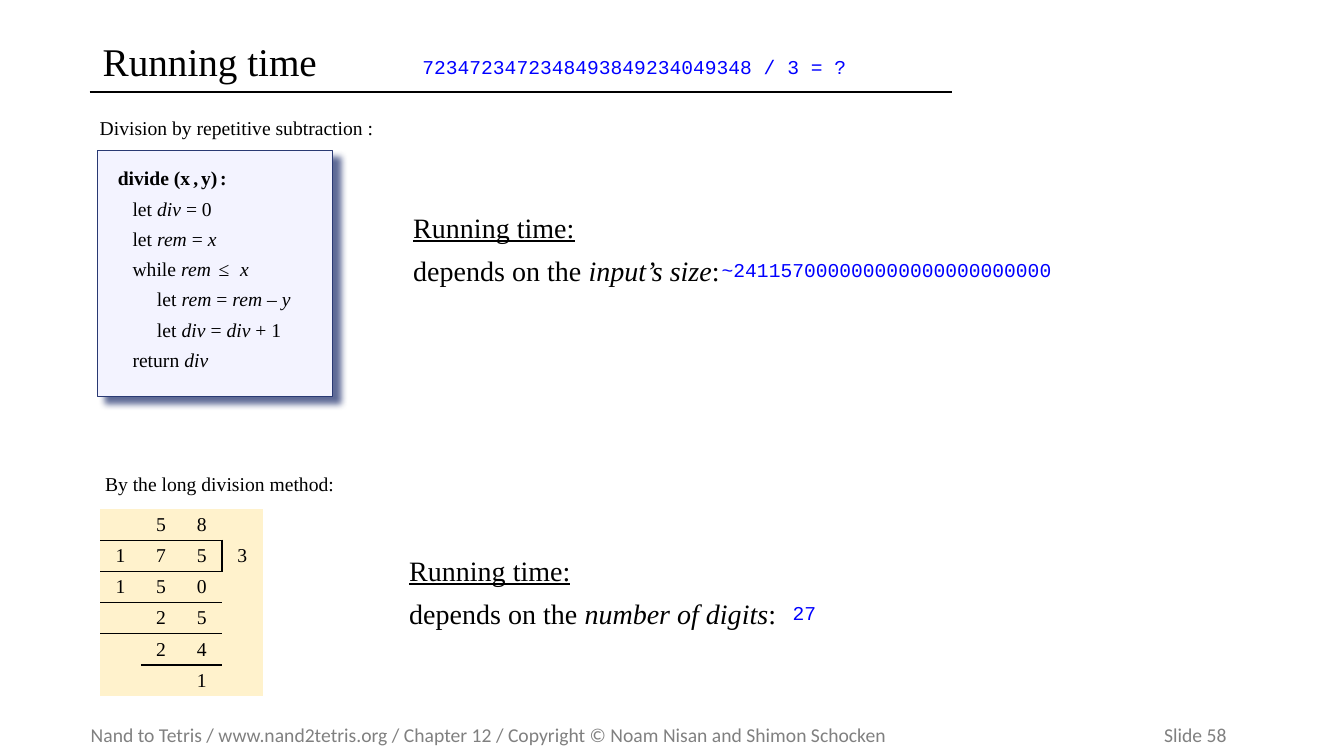
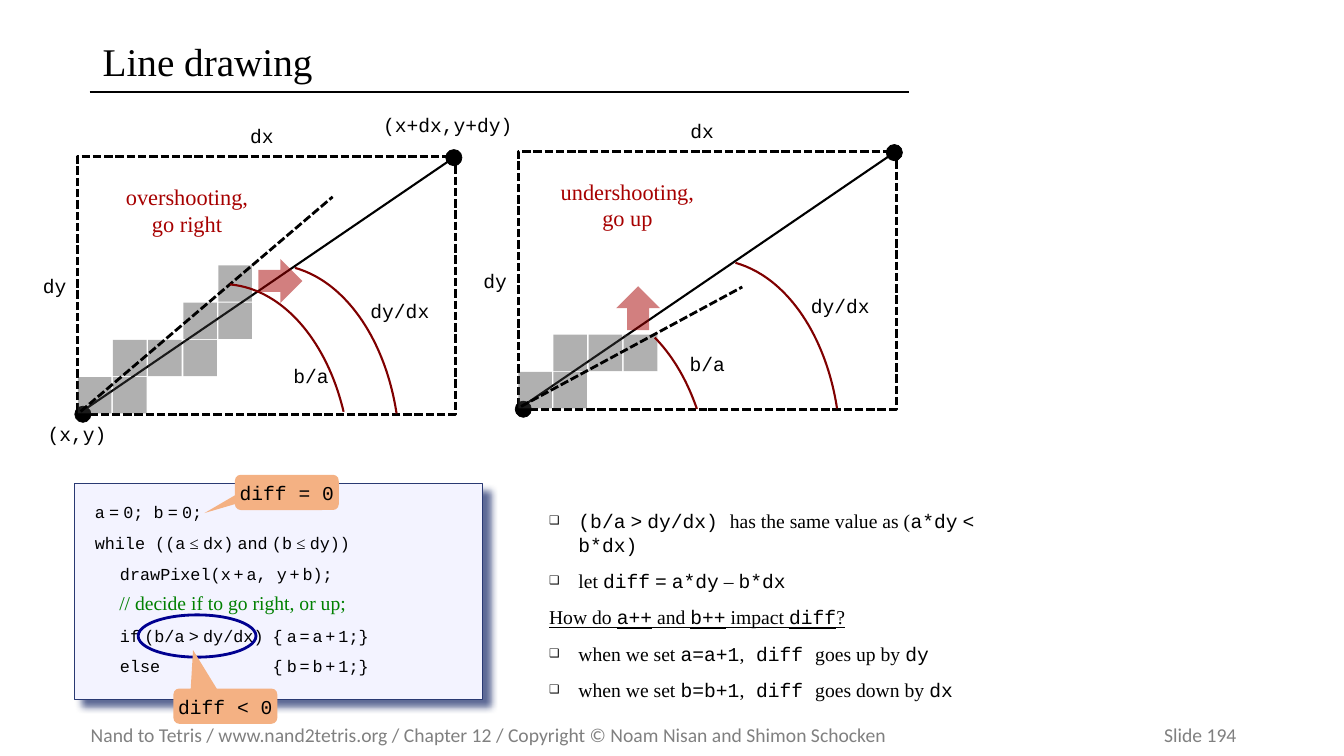
from lxml import etree
from pptx import Presentation
from pptx.dml.color import RGBColor
from pptx.enum.dml import MSO_LINE
from pptx.enum.shapes import MSO_CONNECTOR, MSO_SHAPE
from pptx.enum.text import MSO_ANCHOR, MSO_AUTO_SIZE, PP_ALIGN
from pptx.oxml.ns import qn
from pptx.util import Pt

LEFT, CENTER = PP_ALIGN.LEFT, PP_ALIGN.CENTER
TOP, MIDDLE = MSO_ANCHOR.TOP, MSO_ANCHOR.MIDDLE
RECT, OVAL, ARC = MSO_SHAPE.RECTANGLE, MSO_SHAPE.OVAL, MSO_SHAPE.ARC
CALLOUT = MSO_SHAPE.ROUNDED_RECTANGULAR_CALLOUT
RIGHT_ARROW, UP_ARROW = MSO_SHAPE.RIGHT_ARROW, MSO_SHAPE.UP_ARROW
DASH = MSO_LINE.SQUARE_DOT

BLACK = RGBColor(0x00, 0x00, 0x00)
GRAY = RGBColor(0x80, 0x80, 0x80)
BLUE = RGBColor(0x00, 0x00, 0xFF)
NAVY = RGBColor(0x00, 0x00, 0x90)
INDIGO = RGBColor(0x29, 0x39, 0x73)
LAVENDER = RGBColor(0xF3, 0xF3, 0xFF)
CREAM = RGBColor(0xFF, 0xF2, 0xCC)
PEACH = RGBColor(0xF4, 0xB1, 0x83)
PIXEL = RGBColor(0x40, 0x40, 0x40)
RED = RGBColor(0xA7, 0x00, 0x00)
MAROON = RGBColor(0x80, 0x00, 0x00)
GREEN = RGBColor(0x00, 0x80, 0x00)

SERIF, MONO, SANS = "Times New Roman", "Courier New", "Calibri"
FOOTER = ("Nand to Tetris / www.nand2tetris.org / Chapter 12 / "
          "Copyright © Noam Nisan and Shimon Schocken\tSlide ")
NO_GRID = "{2D5ABB26-0587-4C30-8999-92F81FD0307C}"


# ---- text ----
def add_run(p, text, size=14, color=BLACK, font=SERIF, bold=False,
            italic=False, underline=False):
    r = p.add_run()
    r.text = text.lstrip("^")
    f = r.font
    f.size, f.name, f.bold = Pt(size), font, bold
    f.italic, f.underline = italic, underline
    f.color.rgb = color
    if text.startswith("^"):  # ^ marks letter-spaced text
        r._r.get_or_add_rPr().set("spc", "200")


def add_par(tf, text, alt=None, before=0, align=LEFT, line=None, **fmt):
    """Add a paragraph; every second |-separated part takes the alt format."""
    first = not tf.text
    p = tf.paragraphs[0] if first else tf.add_paragraph()
    p.alignment = align
    p.space_before = Pt(0 if first else before)
    if line:
        p.line_spacing = line
    for i, part in enumerate(text.split("|")):
        if part:
            add_run(p, part, **{**fmt, **(alt or {} if i % 2 else {})})
    return p


def set_frame(tf, left=0, top=0, right=0, bottom=0, anchor=TOP, wrap=True):
    tf.margin_left, tf.margin_top = Pt(left), Pt(top)
    tf.margin_right, tf.margin_bottom = Pt(right), Pt(bottom)
    tf.vertical_anchor, tf.word_wrap = anchor, wrap
    tf.auto_size = MSO_AUTO_SIZE.NONE
    return tf


def add_box(s, x, y, w, h, **frame):
    return set_frame(s.shapes.add_textbox(Pt(x), Pt(y), Pt(w), Pt(h)).text_frame, **frame)


def add_label(s, text, x, y, **fmt):
    add_par(add_box(s, x, y, 60, 16, wrap=False), text, **fmt)


def add_tab(p, pos):
    tabs = etree.SubElement(p._p.get_or_add_pPr(), qn("a:tabLst"))
    etree.SubElement(tabs, qn("a:tab"), pos=str(Pt(pos)), algn="l")


# ---- shapes ----
def add_alpha(color_parent, percent):
    clr = next(color_parent.iter(qn("a:srgbClr")))
    etree.SubElement(clr, qn("a:alpha"), val=str(percent * 1000))


def add_shape(s, kind, x, y, w, h, fill=None, line=None, width=1, dash=None,
              alpha=None, adjust=()):
    sp = s.shapes.add_shape(kind, Pt(x), Pt(y), Pt(w), Pt(h))
    sp.shadow.inherit = False
    for i, value in enumerate(adjust):
        sp.adjustments[i] = value
    if fill is None:
        sp.fill.background()
    else:
        sp.fill.solid()
        sp.fill.fore_color.rgb = fill
        if alpha:
            add_alpha(sp._element.spPr, alpha)
    if line is None:
        sp.line.fill.background()
    else:
        sp.line.color.rgb, sp.line.width = line, Pt(width)
        if dash:
            sp.line.dash_style = dash
    return sp


def add_line(s, x1, y1, x2, y2, width=1.5, dash=None):
    c = s.shapes.add_connector(MSO_CONNECTOR.STRAIGHT, Pt(x1), Pt(y1), Pt(x2), Pt(y2))
    c.line.color.rgb, c.line.width = BLACK, Pt(width)
    if dash:
        c.line.dash_style = dash
    etree.SubElement(c._element.spPr, qn("a:effectLst"))


def add_arc(s, x, y, start, end):
    """Draw an arc between two angles in degrees."""
    add_shape(s, ARC, x, y, 183.6, 273.6, line=MAROON, width=1.5,
              adjust=(start * 0.6, end * 0.6))


def add_code_panel(s, x, y, w, h):
    sp = add_shape(s, RECT, x, y, w, h, LAVENDER, INDIGO, 0.75)
    effects = sp._element.spPr.find(qn("a:effectLst"))
    shadow = etree.SubElement(effects, qn("a:outerShdw"), blurRad=str(Pt(5)),
                              dist=str(Pt(7.1)), dir="2700000", algn="tl", rotWithShape="0")
    etree.SubElement(shadow, qn("a:srgbClr"), val=str(INDIGO))
    add_alpha(shadow, 75)
    return set_frame(sp.text_frame, left=14.4, top=11.5, bottom=11.5)


def add_callout(s, text, x, y, tip):
    sp = add_shape(s, CALLOUT, x, y, 74.2, 25.2, PEACH, adjust=(*tip, 0.167))
    add_par(set_frame(sp.text_frame, anchor=MIDDLE), text, align=CENTER, font=MONO)


# ---- shared slide parts ----
def new_slide(prs, layout, title, number, rule_end):
    s = prs.slides.add_slide(prs.slide_layouts[layout])
    sp = s.shapes.title
    sp.left, sp.top, sp.width, sp.height = Pt(66.2), Pt(23), Pt(614), Pt(45.4)
    tf = set_frame(sp.text_frame, 7.2, 3.6, 7.2, 3.6, MIDDLE)
    add_par(tf, title, size=28, line=0.9)
    add_line(s, 64, 66, rule_end, 66)
    footer = add_box(s, 64.8, 512.6, 882, 24.5, anchor=MIDDLE)
    add_tab(add_par(footer, FOOTER + str(number), font=SANS, color=GRAY), 766.7)
    return s


# ---- running time slide ----
def add_divide_panel(s, x, y):
    tf = add_code_panel(s, x, y, 167.8, 175.7)
    add_par(tf, "divide (x| |,| |y)| |:", alt={"size": 8}, bold=True)
    for text in ("   let |div| = 0", "   let |rem| = |x", "   while |rem|^ ≤ |x",
                 "        let |rem| = |rem| – |y", "        let |div| = |div| + 1",
                 "   return |div"):
        add_par(tf, text, alt={"italic": True}, before=4.8)


def add_long_division(s, x, y):
    rows = (" 58 ", "1753", "150 ", " 25 ", " 24 ", "  1 ")
    ruled = {(r, c) for r, cols in ((0, (0, 1, 2)), (2, (0, 1, 2)), (4, (1, 2)))
             for c in cols}
    frame = s.shapes.add_table(6, 4, Pt(x), Pt(y), Pt(116), Pt(133.8))
    table = frame.table
    table.first_row = table.horz_banding = False
    table._tbl.tblPr.find(qn("a:tableStyleId")).text = NO_GRID
    for col in table.columns:
        col.width = Pt(29)
    for r, row in enumerate(rows):
        table.rows[r].height = Pt(22.3)
        for c, digit in enumerate(row):
            cell = table.cell(r, c)
            cell.margin_top = cell.margin_bottom = 0
            cell.vertical_anchor = MIDDLE
            add_par(cell.text_frame, digit.strip(), align=CENTER)
            sides = {"L": (r, c) == (1, 3), "R": (r, c) == (1, 2),
                     "T": (r - 1, c) in ruled, "B": (r, c) in ruled}
            for side, drawn in sides.items():
                if drawn:
                    ln = etree.SubElement(cell._tc.get_or_add_tcPr(), qn("a:ln" + side),
                                          w=str(Pt(1)))
                    fill = etree.SubElement(ln, qn("a:solidFill"))
                    etree.SubElement(fill, qn("a:srgbClr"), val=str(BLACK))
            cell.fill.solid()
            cell.fill.fore_color.rgb = CREAM


def add_running_time(s, x, y, measure):
    tf = add_box(s, x, y, 280, 60)
    add_par(tf, "Running time:", size=20, underline=True)
    add_par(tf, f"depends on the |{measure}|:", alt={"italic": True}, size=20, before=7)


def build_running_time(prs):
    s = new_slide(prs, 5, "Running time", 58, 680)
    add_label(s, "7234723472348493849234049348 / 3 = ?", 301.7, 38.9, font=MONO, color=BLUE)
    # repetitive subtraction
    add_label(s, "Division by repetitive subtraction :", 71.2, 83)
    add_divide_panel(s, 69.8, 107.3)
    add_running_time(s, 295.2, 150, "input’s size")
    add_label(s, "~241157000000000000000000000", 515.5, 184, font=MONO, color=BLUE)
    # long division
    add_label(s, "By the long division method:", 75, 337)
    add_long_division(s, 71.6, 363.6)
    add_running_time(s, 292.3, 395, "number of digits")
    add_label(s, "27", 566.2, 429, font=MONO, color=BLUE)


# ---- line drawing slide ----
def add_diagram(s, x, y, pixels, guess, arc, slope_at, verdict, arrow, arrow_at):
    w, h = 270, 184.3
    add_shape(s, RECT, x, y, w, h, line=BLACK, width=2, dash=DASH)
    add_line(s, x, y + h, x + w, y)
    for cx, cy in ((3.6, h), (w - 1.4, 1)):
        add_shape(s, OVAL, x + cx - 5.8, y + cy - 5.8, 11.6, 11.6, BLACK, BLACK, 0.5)
    for col, row in pixels:
        add_shape(s, RECT, x + 25.1 * col, y + 157.7 - 26.6 * row, 24, 26, PIXEL, alpha=41)
    add_line(s, x + 2, y + h - 2, x + guess[0], y + guess[1], 2, DASH)
    # angles and labels
    add_arc(s, x + 46.4, y + 77.4, 277.2, 341.2)
    add_arc(s, x + arc[0], y + arc[1], arc[2], arc[3])
    for text, dx, dy in (("dx", 123, -23), ("dy", -25, 84), ("dy/dx", 209, 102),
                         ("b/a", *slope_at)):
        add_label(s, text, x + dx, y + dy, font=MONO)
    # verdict and its arrow
    tf = add_box(s, x + 27, y + 19, 102, 50)
    for text in verdict:
        add_par(tf, text, size=16, color=RED, align=CENTER)
    add_shape(s, arrow, x + arrow_at[0], y + arrow_at[1], 31.4, 31.4, RED, alpha=50)


def add_line_code(s, x, y):
    tf = add_code_panel(s, x, y, 291.6, 154)
    mono = {"font": MONO, "size": 12}
    lines = (("a| |=| |0; b| |=| |0;", mono),
             ("while ((a| ≤ |dx)| |and| |(b| ≤ |dy))", mono),
             ("|      |drawPixel(||^x+||a, ||^y+||b);", mono),
             ("     // decide if to go right, or up;", {"color": GREEN}),
             ("|      |if| |(b/a| |>| |dy/dx)|\t|{| |^a=a+||1;}", mono),
             ("|      |else|\t|{| |^b=b+||1;}", mono))
    for text, fmt in lines:
        p = add_par(tf, text, alt={"font": SERIF}, before=6, line=Pt(16), **fmt)
        if "\t" in text:
            add_tab(p, 127)
    add_shape(s, OVAL, x + 45.4, y + 93.6, 84.2, 30.2, line=NAVY, width=2)
    add_callout(s, "diff < 0", x + 70.6, y + 146.2, (-0.311, -1.592))
    add_callout(s, "diff = 0", x + 114.5, y - 6.5, (-0.793, 0.586))


def fill_notes_on_diff(sp, x, y):
    sp.left, sp.top, sp.width, sp.height = Pt(x), Pt(y), Pt(388), Pt(140)
    tf = set_frame(sp.text_frame, 7.2, 3.6, 7.2, 3.6)
    lines = ("|(b/a| |>| |dy/dx) |has the same value as| |(|a*dy| |<| |b*dx)",
             "let| |diff| |=| |a*dy| – |b*dx|",
             "How do |a++| and |b++| impact |diff|?",
             "when we set| |a=a+1|,| diff |goes up by |dy",
             "when we set| |b=b+1|,| diff |goes down by |dx")
    lines = (lines[0].replace("as| |(|", "as (|"),
             "let |diff| |=| |a*dy| – |b*dx", lines[2],
             "when we set |a=a+1|,| diff |goes up by |dy",
             "when we set |b=b+1|,| diff |goes down by |dx")
    for text in lines:
        question = text.endswith("?")
        p = add_par(tf, text, alt={"font": MONO}, before=9.2, underline=question)
        pPr = p._p.get_or_add_pPr()
        pPr.set("marL", str(Pt(28 if question else 49)))
        pPr.set("indent", str(Pt(0 if question else -21)))
        if question:
            etree.SubElement(pPr, qn("a:buNone"))
        else:
            etree.SubElement(pPr, qn("a:buSzPct"), val="60000")
            etree.SubElement(pPr, qn("a:buChar"), char="❑")


def build_line_drawing(prs):
    s = new_slide(prs, 1, "Line drawing", 194, 649.3)
    x, y = 55.6, 111.6
    stairs = ((0, 0), (1, 0), (1, 1), (2, 1), (3, 1), (3, 2), (4, 2), (4, 3))
    add_diagram(s, x, y, stairs, (182, 29), (11.5, 91.4, 272.2, 332.2), (154, 148),
                ("overshooting,", "go right"), RIGHT_ARROW, (129, 73.4))
    add_label(s, "(x,y)", x - 21.6, y + 190, font=MONO)
    add_label(s, "(x+dx,y+dy)", x + 218, y - 31, font=MONO)
    add_diagram(s, 370.2, 108, stairs[:5], (160, 97), (-46, 109.4, 294.6, 322.8),
                (122.4, 143.3), ("undershooting,", "go up"), UP_ARROW, (70, 96.5))
    add_line_code(s, 53.3, 345.6)
    fill_notes_on_diff(s.placeholders[1], 357, 360)


def main():
    prs = Presentation()
    prs.slide_width, prs.slide_height = Pt(960), Pt(540)
    build_running_time(prs)
    build_line_drawing(prs)
    prs.save("out.pptx")


if __name__ == "__main__":
    main()
